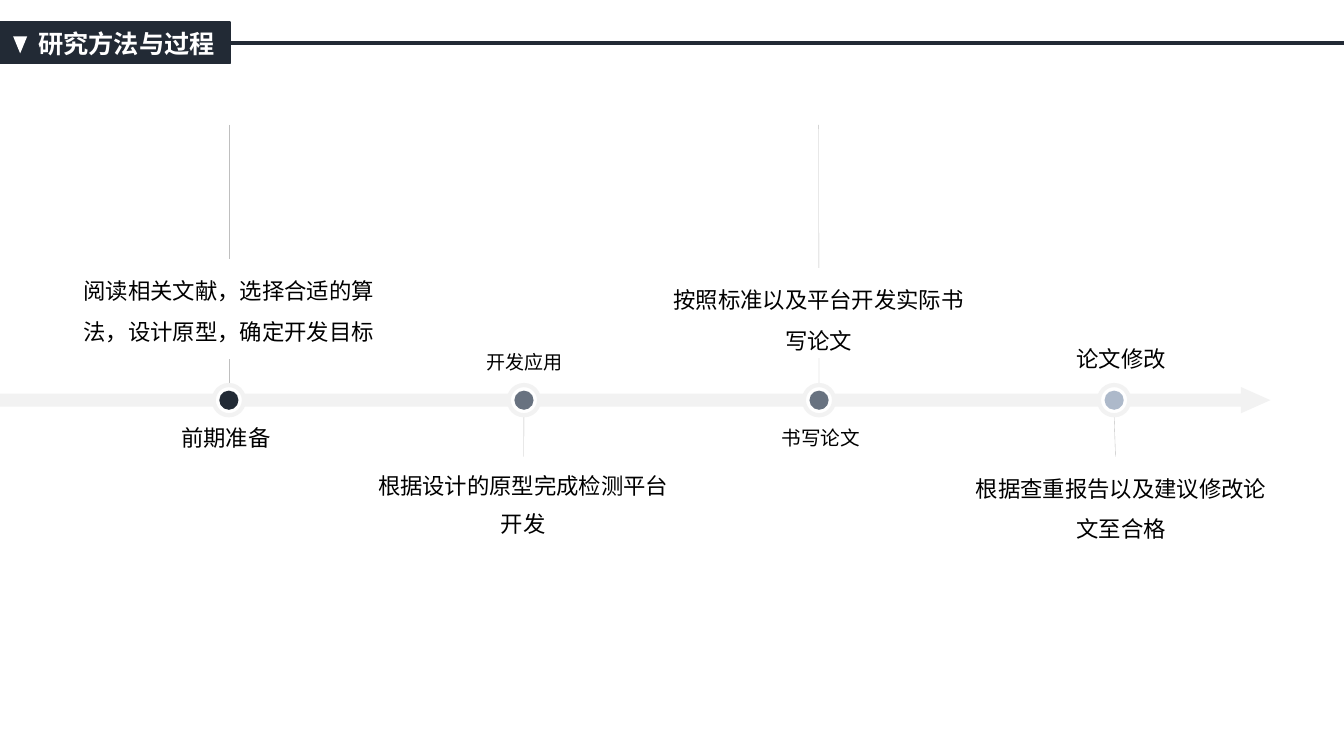
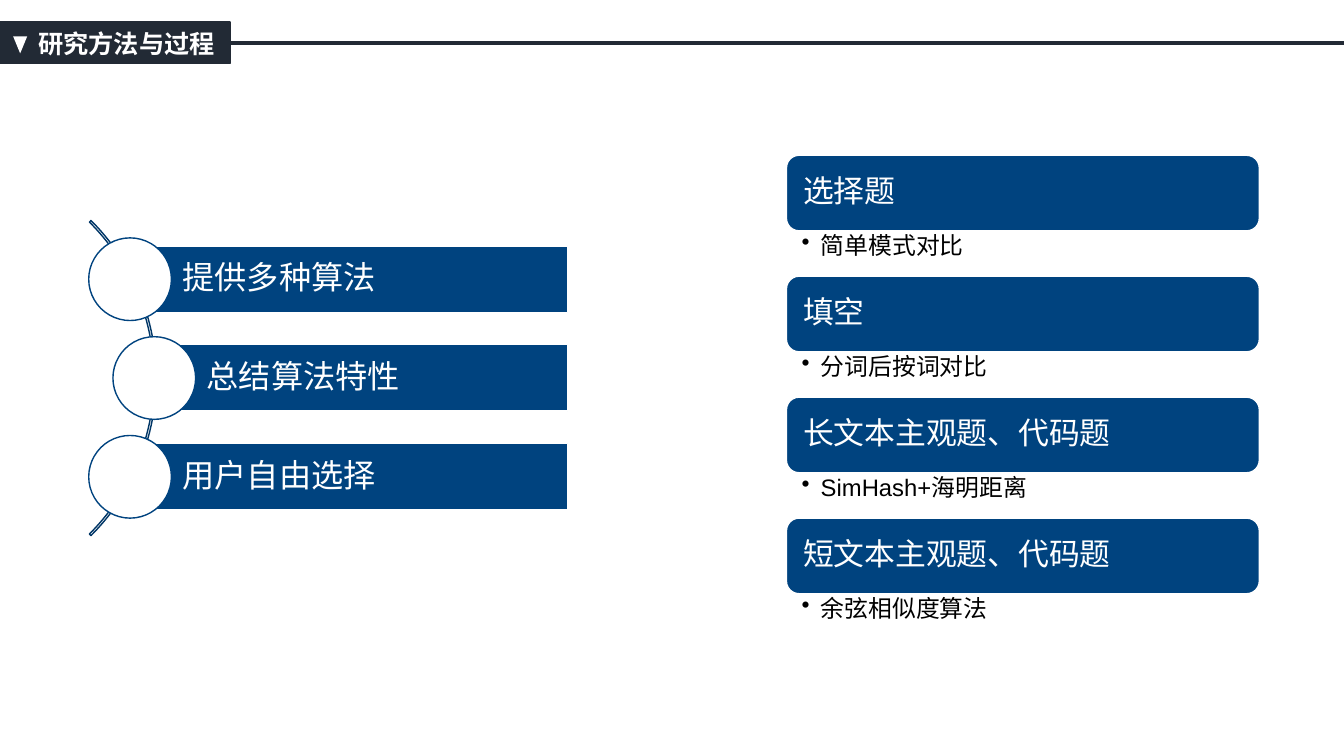
"""Build two slides on research method and process: a timeline and an algorithm overview."""
from lxml.etree import SubElement
from pptx import Presentation
from pptx.dml.color import RGBColor
from pptx.enum.shapes import MSO_CONNECTOR, MSO_SHAPE
from pptx.enum.text import MSO_ANCHOR, PP_ALIGN
from pptx.oxml.ns import qn
from pptx.util import Inches, Pt

COLORS = {
    "dark": "222A35", "slate": "687280", "mist": "ADB9CA", "track": "F2F2F2", "hairline": "BFBFBF",
    "blue": "00437F", "arc": "003666", "white": "FFFFFF", "black": "000000",
}
TITLE_FONT = "Noto Sans CJK SC"
BODY_FONT = "Arial"
DEFAULT_INSETS = (0.1, 0.05, 0.1, 0.05)


class Slides:
    def __init__(self):
        self.deck = Presentation()
        self.deck.slide_width = Inches(13.33)
        self.deck.slide_height = Inches(7.5)
        self.page = None

    def color(self, name):
        return RGBColor.from_string(COLORS[name])

    def new_page(self, title):
        self.page = self.deck.slides.add_slide(self.deck.slide_layouts[6])
        self.shape(MSO_SHAPE.RECTANGLE, 0, 0.22, 2.28, 0.41, "dark", "dark")
        self.line(2.28, 0.43, 13.33, 0.43, "dark", 3)
        heading = self.text_box(0.27, 0.23, 1.97, 0.4)
        self.set_text(heading, title, 18, "white", font=TITLE_FONT, bold=True,
                      align=PP_ALIGN.CENTER, wrap=False)
        marker = self.shape(MSO_SHAPE.ISOSCELES_TRIANGLE, 0.13, 0.36, 0.14, 0.17, "white")
        marker.rotation = 180

    def shape(self, kind, left, top, width, height, fill=None, line=None, line_width=1):
        box = self.page.shapes.add_shape(kind, Inches(left), Inches(top), Inches(width), Inches(height))
        box.shadow.inherit = False
        if fill:
            box.fill.solid()
            box.fill.fore_color.rgb = self.color(fill)
        else:
            box.fill.background()
        if line:
            box.line.color.rgb = self.color(line)
            box.line.width = Pt(line_width)
        else:
            box.line.fill.background()
        return box

    def text_box(self, left, top, width, height):
        return self.page.shapes.add_textbox(Inches(left), Inches(top), Inches(width), Inches(height))

    def line(self, x1, y1, x2, y2, color, width):
        connector = self.page.shapes.add_connector(
            MSO_CONNECTOR.STRAIGHT, Inches(x1), Inches(y1), Inches(x2), Inches(y2))
        connector.line.color.rgb = self.color(color)
        connector.line.width = Pt(width)
        SubElement(connector._element.spPr, qn("a:effectLst"))

    def set_text(self, box, text, size, color="black", font=BODY_FONT, bold=False, align=PP_ALIGN.LEFT,
                 anchor=MSO_ANCHOR.MIDDLE, spacing=1.0, insets=DEFAULT_INSETS, wrap=True):
        frame = box.text_frame
        frame.text = text
        frame.word_wrap = wrap
        frame.vertical_anchor = anchor
        frame.margin_left, frame.margin_top, frame.margin_right, frame.margin_bottom = map(Inches, insets)
        para = frame.paragraphs[0]
        para.alignment = align
        para.line_spacing = spacing
        for span in para.runs:
            span.font.name = font
            span.font.size = Pt(size)
            span.font.bold = bold
            span.font.color.rgb = self.color(color)
            SubElement(span._r.get_or_add_rPr(), qn("a:ea")).set("typeface", font)
        return para

    def bullet(self, para, indent):
        properties = para._p.get_or_add_pPr()
        properties.set("marL", str(Inches(indent)))
        properties.set("indent", str(-Inches(indent)))
        SubElement(properties, qn("a:buChar")).set("char", "•")

    def milestone(self, center, color, label, label_size, label_center, label_top,
                  detail, detail_center, detail_top, detail_height, spacing, line_start, line_end):
        self.line(detail_center, line_end, center, line_start, "hairline", 0.25)
        box = self.shape(MSO_SHAPE.RECTANGLE, detail_center - 1.55, detail_top, 3.1, detail_height, "white")
        self.set_text(box, detail, 16, align=PP_ALIGN.CENTER, anchor=MSO_ANCHOR.TOP, spacing=spacing)
        for size, fill, outline in ((0.3, "white", "track"), (0.19, color, None)):
            self.shape(MSO_SHAPE.OVAL, center - size / 2, 3.97 - size / 2, size, size, fill, outline, 3)
        caption = self.text_box(label_center - 0.6, label_top, 1.2, 0.43)
        self.set_text(caption, label, label_size, align=PP_ALIGN.CENTER)

    def bar(self, left, top, text):
        box = self.shape(MSO_SHAPE.RECTANGLE, left, top, 5.63 - left, 0.66, "blue", "white")
        self.set_text(box, text, 23, "white", spacing=0.9, insets=(0.52, 0.06, 0.06, 0.06))
        self.shape(MSO_SHAPE.OVAL, left - 0.41, top - 0.08, 0.82, 0.82, "white", "blue")

    def card(self, top, heading, detail):
        box = self.shape(MSO_SHAPE.ROUNDED_RECTANGLE, 7.8, top, 4.69, 0.75, "blue", "white")
        self.set_text(box, heading, 22, "white", spacing=0.9, insets=(0.13, 0.13, 0.13, 0.13))
        note = self.text_box(7.8, top + 0.75, 4.69, 0.45)
        para = self.set_text(note, detail, 17, anchor=MSO_ANCHOR.TOP, spacing=0.9,
                             insets=(0.15, 0.03, 0.17, 0.03))
        self.bullet(para, 0.19)


def build_timeline(slides):
    slides.new_page("研究方法与过程")
    track = slides.shape(MSO_SHAPE.RIGHT_ARROW, 0, 3.84, 12.6, 0.26, "track")
    track.adjustments[0] = 0.5
    track.adjustments[1] = 1.12
    above, below = (3.82, 1.24), (4.12, 5.34)
    milestones = [
        ("dark", "前期准备", 16, 2.24, 4.13,
         "阅读相关文献，选择合适的算法，设计原型，确定开发目标", 2.27, 2.57, 0.99, 1.5, *above),
        ("slate", "开发应用", 13.6, 5.2, 3.38,
         "根据设计的原型完成检测平台开发", 5.19, 4.53, 0.81, 1.4, *below),
        ("slate", "书写论文", 14, 8.14, 4.13,
         "按照标准以及平台开发实际书写论文", 8.12, 2.66, 0.89, 1.5, *above),
        ("mist", "论文修改", 16, 11.12, 3.34,
         "根据查重报告以及建议修改论文至合格", 11.12, 4.53, 1.69, 1.5, 4.12, 6.22),
    ]
    pitch = (11.05 - 2.27) / (len(milestones) - 1)
    for index, milestone in enumerate(milestones):
        slides.milestone(2.27 + pitch * index, *milestone)


def build_algorithms(slides):
    slides.new_page("研究方法与过程")
    arc = slides.shape(MSO_SHAPE.BLOCK_ARC, -2.87, 1.54, 4.42, 4.42, line="arc")
    for index, value in enumerate((189, 27, 0.005)):
        arc.adjustments[index] = value
    bars = [(1.29, "提供多种算法"), (1.53, "总结算法特性"), (1.29, "用户自由选择")]
    for index, (left, text) in enumerate(bars):
        slides.bar(left, 2.44 + 0.98 * index, text)
    cards = [
        ("选择题", "简单模式对比"),
        ("填空", "分词后按词对比"),
        ("长文本主观题、代码题", "SimHash+海明距离"),
        ("短文本主观题、代码题", "余弦相似度算法"),
    ]
    for index, (heading, detail) in enumerate(cards):
        slides.card(1.54 + 1.2 * index, heading, detail)


def main():
    slides = Slides()
    build_timeline(slides)
    build_algorithms(slides)
    slides.deck.save("out.pptx")


if __name__ == "__main__":
    main()
